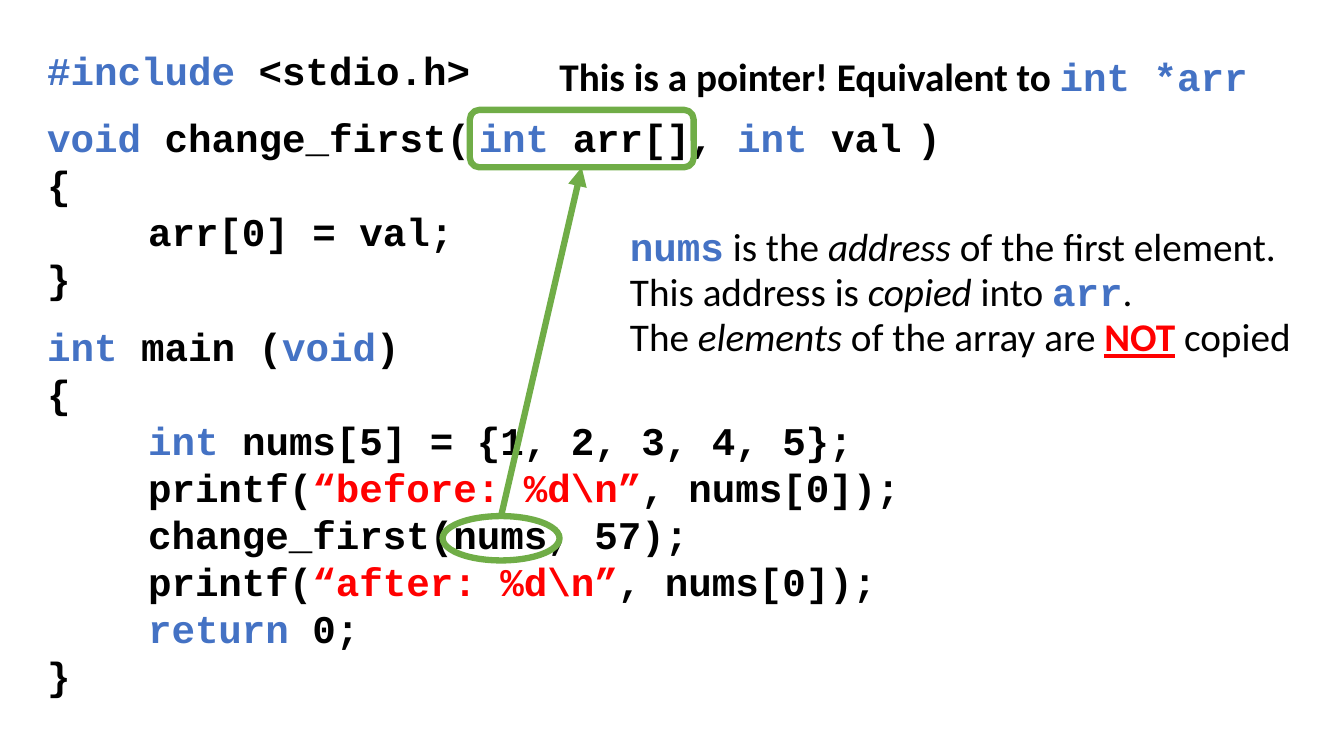
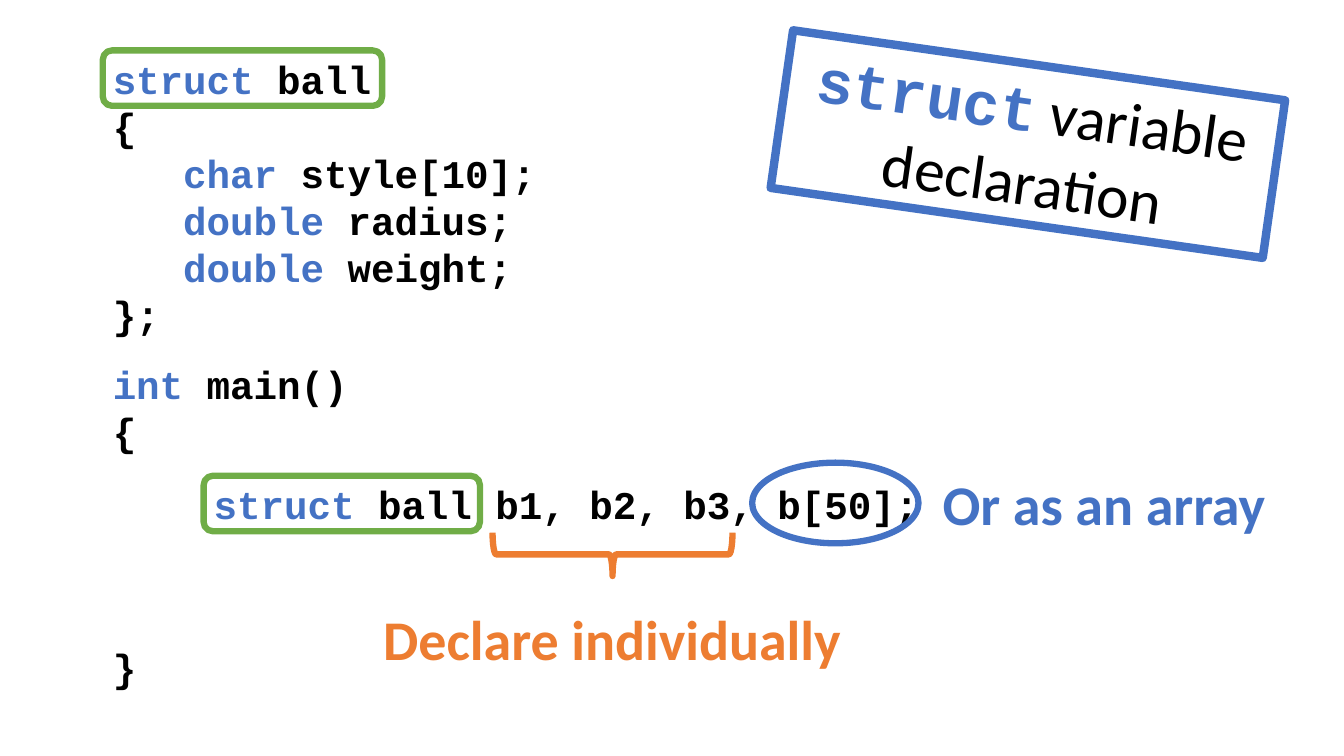
"""Build two slides on passing arrays to functions and declaring struct variables in C."""
from lxml import etree
from pptx import Presentation
from pptx.dml.color import RGBColor
from pptx.enum.shapes import MSO_CONNECTOR, MSO_SHAPE
from pptx.enum.text import MSO_ANCHOR, MSO_AUTO_SIZE, PP_ALIGN
from pptx.oxml.ns import qn
from pptx.util import Pt

PX = 9144
BLUE = RGBColor(0x44, 0x72, 0xC4)
GREEN = RGBColor(0x70, 0xAD, 0x47)
ORANGE = RGBColor(0xED, 0x7D, 0x31)
RED = RGBColor(0xFF, 0x00, 0x00)
BLACK = RGBColor(0x00, 0x00, 0x00)

STYLES = {
    "keyword": dict(name="Courier New", color=BLUE, bold=True),
    "code": dict(name="Courier New", color=BLACK, bold=True),
    "string": dict(name="Courier New", color=RED, bold=True),
    "plain": dict(name="Calibri", color=BLACK),
    "italic": dict(name="Calibri", color=BLACK, italic=True),
    "strong": dict(name="Calibri", color=BLACK, bold=True),
    "warning": dict(name="Calibri", color=RED, bold=True, underline=True),
    "blue label": dict(name="Calibri", color=BLUE, bold=True),
    "orange label": dict(name="Calibri", color=ORANGE, bold=True),
}

ARRAY_CODE = [
    [("#include ", "keyword"), ("<stdio.h>", "code")],
    [("void ", "keyword"), ("change_first(\t", "code"), ("int ", "keyword"),
     ("arr[], ", "code"), ("int ", "keyword"), ("val\t)", "code")],
    [("{", "code")],
    [("\tarr[0] = val;", "code")],
    [("}", "code")],
    [("int", "keyword"), (" main (", "code"), ("void", "keyword"), (")", "code")],
    [("{", "code")],
    [("\tint ", "keyword"), ("nums[5] = {1, 2, 3, 4, 5};", "code")],
    [("\tprintf(", "code"), ("“before: %d\\n”", "string"), (", nums[0]);", "code")],
    [("\tchange_first(nums, 57);", "code")],
    [("\tprintf(", "code"), ("“after: %d\\n”", "string"), (", nums[0]);", "code")],
    [("\treturn", "keyword"), (" 0;", "code")],
    [("}", "code")],
]
ARRAY_GAPS = {1: 14.4, 5: 14.4}
SIGNATURE_TABS = (428, 863)
INDENT_TABS = (100,)

POINTER_NOTE = [[("This is a pointer! Equivalent to ", "strong"), ("int *arr", "keyword")]]
COPY_NOTE = [
    [("nums", "keyword"), (" is the ", "plain"), ("address", "italic"),
     (" of the first element.", "plain")],
    [("This address is ", "plain"), ("copied", "italic"), (" into ", "plain"),
     ("arr", "keyword"), (".", "plain")],
    [("The ", "plain"), ("elements", "italic"), (" of the array are ", "plain"),
     ("NOT", "warning"), (" copied", "plain")],
]

STRUCT_TITLE = [[("struct", "keyword"), (" variable declaration", "plain")]]
STRUCT_CODE = [
    [("struct", "keyword"), (" ball", "code")],
    [("{", "code")],
    [("   char", "keyword"), (" style[10];", "code")],
    [("   double", "keyword"), (" radius;", "code")],
    [("   double", "keyword"), (" weight;", "code")],
    [("};", "code")],
    [("int", "keyword"), (" main()", "code")],
    [("{", "code")],
    [("\tstruct", "keyword"), (" ball b1, b2, b3, b[50];", "code")],
    [("}", "code")],
]
STRUCT_GAPS = {6: 16.4, 8: 18, 9: 82.7}
INDIVIDUAL_LABEL = [[("Declare individually", "orange label")]]
ARRAY_LABEL = [[("Or as an array", "blue label")]]


def emu(lengths):
    return [length * PX for length in lengths]


def write(frame, lines, size, gaps=None, align=PP_ALIGN.LEFT):
    frame.word_wrap = True
    frame.auto_size = MSO_AUTO_SIZE.NONE
    for index, line in enumerate(lines):
        paragraph = frame.paragraphs[0] if index == 0 else frame.add_paragraph()
        paragraph.alignment = align
        if gaps and index in gaps:
            paragraph.space_before = Pt(gaps[index])
        for words, style in line:
            run = paragraph.add_run()
            run.text = words
            run.font.size = Pt(size)
            for attribute, value in STYLES[style].items():
                if attribute == "color":
                    run.font.color.rgb = value
                else:
                    setattr(run.font, attribute, value)


def add_text(slide, place, lines, size=28, **layout):
    frame = slide.shapes.add_textbox(*emu(place)).text_frame
    write(frame, lines, size, **layout)
    return frame


def set_tabs(paragraph, stops):
    tabs = etree.SubElement(paragraph._p.get_or_add_pPr(), qn("a:tabLst"))
    for stop in stops:
        etree.SubElement(tabs, qn("a:tab"), pos=str(stop * PX), algn="l")


def add_code(slide, place, lines, gaps):
    code = add_text(slide, place, lines, gaps=gaps)
    for paragraph in code.paragraphs:
        if paragraph.text.startswith("\t"):
            set_tabs(paragraph, INDENT_TABS)
        elif "\t" in paragraph.text:
            set_tabs(paragraph, SIGNATURE_TABS)


def add_outline(slide, preset, place, color, rotation=0):
    outline = slide.shapes.add_shape(preset, *emu(place))
    outline.shadow.inherit = False
    outline.fill.background()
    outline.line.color.rgb = color
    outline.line.width = Pt(4.5)
    outline.rotation = rotation
    return outline


def add_arrow(slide, source, target):
    arrow = slide.shapes.add_connector(MSO_CONNECTOR.STRAIGHT, 0, 0, 0, 0)
    arrow.begin_connect(source, 0)
    arrow.end_connect(target, 2)
    arrow.line.color.rgb = GREEN
    arrow.line.width = Pt(4.5)
    etree.SubElement(arrow.line._get_or_add_ln(), qn("a:tailEnd"), type="triangle")
    etree.SubElement(arrow._element.spPr, qn("a:effectLst"))


def build_array_slide(deck):
    slide = deck.slides.add_slide(deck.slide_layouts[6])
    add_code(slide, (37, 41, 919, 683), ARRAY_CODE, ARRAY_GAPS)
    add_text(slide, (545, 47, 740, 57), POINTER_NOTE)
    copy_note = add_text(slide, (615, 217, 684, 147), COPY_NOTE)
    for paragraph in copy_note.paragraphs:
        paragraph.line_spacing = Pt(32.4)
    argument = add_outline(slide, MSO_SHAPE.OVAL, (439, 512, 116, 44), GREEN)
    parameter = add_outline(slide, MSO_SHAPE.ROUNDED_RECTANGLE, (466, 109, 222, 57), GREEN)
    add_arrow(slide, argument, parameter)


def build_struct_slide(deck):
    slide = deck.slides.add_slide(deck.slide_layouts[5])
    title = slide.shapes.title
    title.left, title.top, title.width, title.height = emu((773, 64, 493, 158))
    title.rotation = 8.1
    title.line.color.rgb = BLUE
    title.line.width = Pt(6)
    title.text_frame.vertical_anchor = MSO_ANCHOR.MIDDLE
    write(title.text_frame, STRUCT_TITLE, 44, align=PP_ALIGN.CENTER)
    add_code(slide, (102, 50, 885, 646), STRUCT_CODE, STRUCT_GAPS)
    for place in ((102, 50, 277, 55), (202, 472, 274, 55)):
        add_outline(slide, MSO_SHAPE.ROUNDED_RECTANGLE, place, GREEN)
    add_outline(slide, MSO_SHAPE.RIGHT_BRACE, (586, 431, 43, 238), ORANGE, 90)
    add_text(slide, (328, 595, 558, 77), INDIVIDUAL_LABEL, 40, align=PP_ALIGN.CENTER)
    add_outline(slide, MSO_SHAPE.OVAL, (746, 459, 165, 80), BLUE)
    add_text(slide, (925, 461, 359, 77), ARRAY_LABEL, 40)


def main():
    deck = Presentation()
    deck.slide_width, deck.slide_height = emu((1333, 750))
    build_array_slide(deck)
    build_struct_slide(deck)
    deck.save("out.pptx")


if __name__ == "__main__":
    main()
